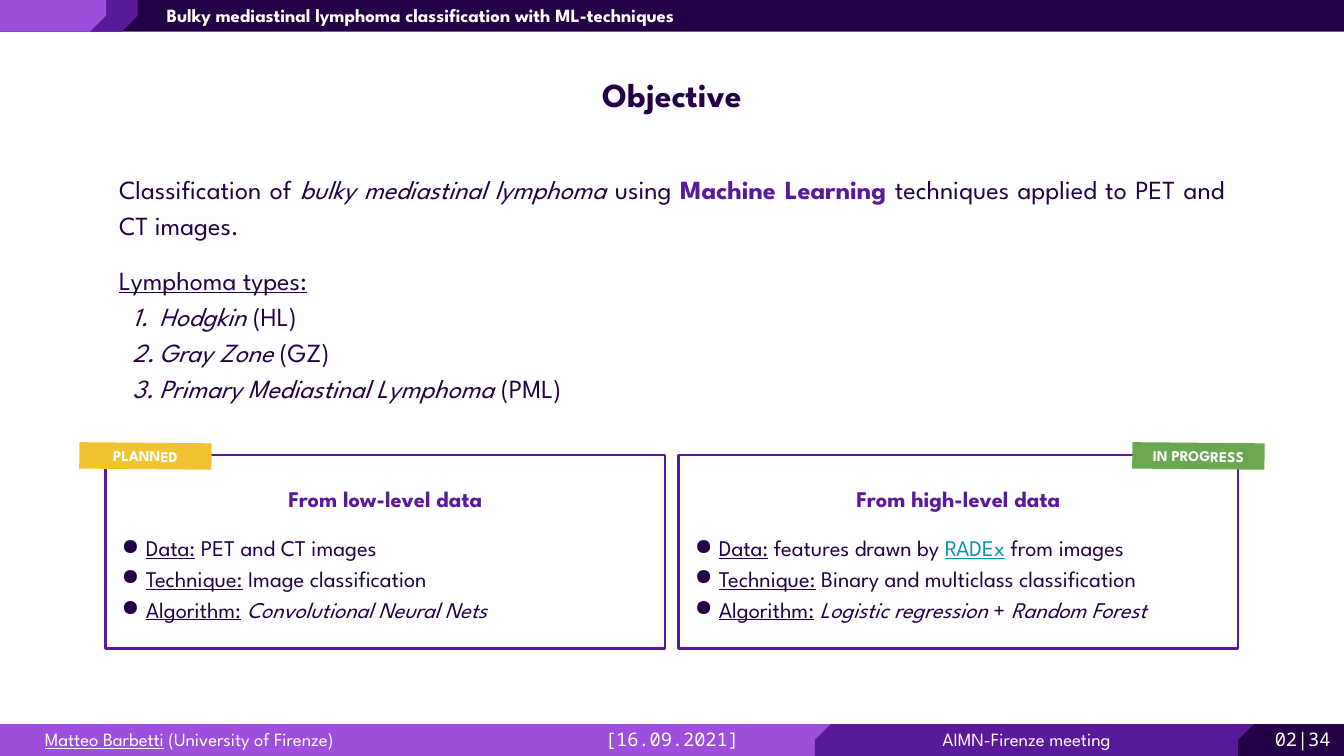
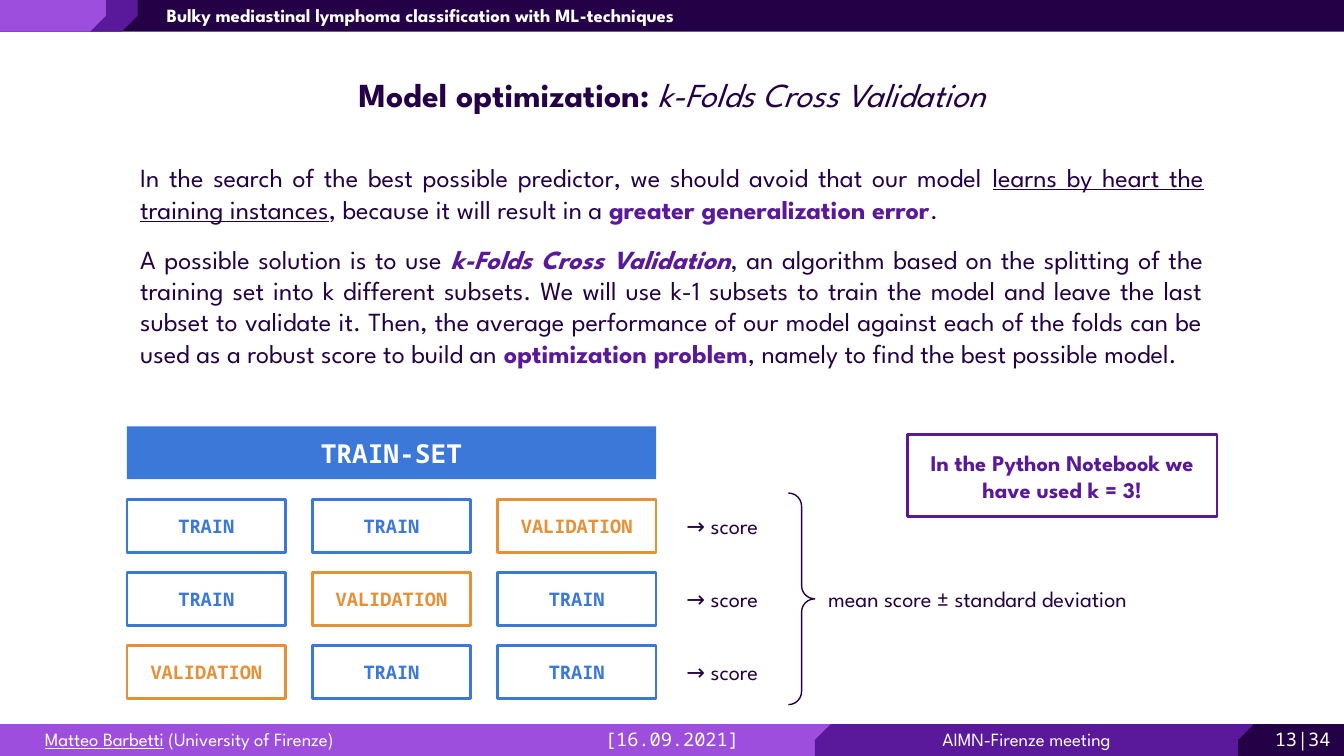
import dataclasses

import lxml.etree
import pptx
import pptx.dml.color
import pptx.enum.shapes
import pptx.enum.text
import pptx.oxml.ns
import pptx.util

SHAPE = pptx.enum.shapes.MSO_SHAPE
ALIGN = pptx.enum.text.PP_ALIGN
ANCHOR = pptx.enum.text.MSO_ANCHOR


@dataclasses.dataclass(frozen=True)
class Theme:
    """Colours, fonts and type sizes of the deck."""

    ink: str = "240046"
    violet: str = "5A189A"
    lilac: str = "9D4EDD"
    white: str = "FFFFFF"
    blue: str = "3C78D8"
    orange: str = "E69138"
    green: str = "6AA84F"
    yellow: str = "F1C232"
    teal: str = "0097A7"
    sans: str = "League Spartan"
    mono: str = "Noto Sans Mono"
    title: int = 18
    body: int = 14
    label: int = 12
    small: int = 10
    tag: int = 8


@dataclasses.dataclass(frozen=True)
class Box:
    """A region measured in columns and rows of a one-centimetre grid."""

    left: float
    top: float
    width: float
    height: float

    def cell(self, column, row, columns, rows):
        """Return a box offset from this box's top left corner."""
        return Box(self.left + column, self.top + row, columns, rows)

    def lengths(self):
        """Return left, top, width and height as slide lengths."""
        return [pptx.util.Cm(value) for value in dataclasses.astuple(self)]


THEME = Theme()
SLIDE = Box(0, 0, 25.4, 14.29)
BAND = 0.6
LINE_SPACING = 1.15
PARA_GAP = 10
NUMBERED = ("buAutoNum", {"type": "arabicPeriod"}, 0.3, 0.2)
BULLETED = ("buChar", {"char": "●"}, 0.2, 0.18)
STRONG = {"bold": True, "color": THEME.violet}
ITALIC = {"italic": True}
UNDERLINED = {"underline": True}


def rgb(color):
    """Turn a hex string into a colour."""
    return pptx.dml.color.RGBColor.from_string(color)


def set_marker(para, marker, color):
    """Give a paragraph a hanging bullet or number."""
    kind, attributes, margin, hanging = marker
    settings = para._p.get_or_add_pPr()
    settings.set("marL", str(pptx.util.Inches(margin)))
    settings.set("indent", str(-pptx.util.Inches(hanging)))
    tint = lxml.etree.SubElement(settings, pptx.oxml.ns.qn("a:buClr"))
    lxml.etree.SubElement(tint, pptx.oxml.ns.qn("a:srgbClr"), val=color)
    lxml.etree.SubElement(settings, pptx.oxml.ns.qn("a:" + kind), attributes)


def write(shape, *spans, size=THEME.body, color=THEME.ink, font=THEME.sans, bold=False,
          align=ALIGN.CENTER, spacing=None, before=None, marker=None):
    """Append a paragraph whose spans are strings or (string, format) pairs."""
    frame = shape.text_frame
    para = frame.paragraphs[0] if not frame.text else frame.add_paragraph()
    para.alignment = align
    if spacing:
        para.line_spacing = spacing
    if before:
        para.space_before = pptx.util.Pt(before)
    if marker:
        set_marker(para, marker, color)
    for span in spans:
        text, extra = (span, {}) if isinstance(span, str) else span
        style = {"color": color, "bold": bold, **extra}
        run = para.add_run()
        run.text = text
        run.font.name = font
        run.font.size = pptx.util.Pt(size)
        run.font.color.rgb = rgb(style["color"])
        run.font.bold = style["bold"]
        run.font.italic = style.get("italic")
        run.font.underline = style.get("underline")


def prepare_frame(shape, anchor):
    """Set wrapping, equal insets and the vertical anchor."""
    frame = shape.text_frame
    frame.word_wrap = True
    frame.auto_size = pptx.enum.text.MSO_AUTO_SIZE.NONE
    frame.vertical_anchor = anchor
    inset = pptx.util.Inches(0.1)
    frame.margin_left = frame.margin_right = inset
    frame.margin_top = frame.margin_bottom = inset


def add_text(page, box, anchor=ANCHOR.MIDDLE):
    """Add an empty text box."""
    shape = page.shapes.add_textbox(*box.lengths())
    prepare_frame(shape, anchor)
    return shape


def add_block(page, box, kind=SHAPE.RECTANGLE, fill=None, line=None, weight=1.5):
    """Add a flat preset shape with an optional fill and outline."""
    shape = page.shapes.add_shape(kind, *box.lengths())
    shape.shadow.inherit = False
    if fill:
        shape.fill.solid()
        shape.fill.fore_color.rgb = rgb(fill)
    else:
        shape.fill.background()
    if line:
        shape.line.color.rgb = rgb(line)
        shape.line.width = pptx.util.Pt(weight)
    else:
        shape.line.fill.background()
    prepare_frame(shape, ANCHOR.MIDDLE)
    return shape


def add_snipped(page, box, fill, rotation=0):
    """Add a mirrored band segment with one snipped corner."""
    shape = add_block(page, box, SHAPE.SNIP_1_RECTANGLE, fill)
    shape.adjustments[0] = 0.5
    shape.rotation = rotation
    shape._element.spPr.get_or_add_xfrm().set("flipH", "1")


def add_band_text(page, band, column, columns, *spans, **style):
    """Write a line of small white text over a band."""
    shape = add_text(page, band.cell(column, -0.18, columns, 0.94), ANCHOR.TOP)
    write(shape, *spans, size=THEME.small, color=THEME.white, **style)


def add_header(page, band):
    """Draw the top band with the talk's name."""
    add_block(page, band, fill=THEME.ink)
    for columns, fill in ((2.6, THEME.violet), (2, THEME.lilac)):
        add_snipped(page, band.cell(0, 0, columns, band.height), fill, 180)
    add_band_text(page, band, 2.9, 12, "Bulky mediastinal lymphoma classification with ML-techniques",
                  bold=True, align=ALIGN.LEFT)


def add_footer(page, band, number):
    """Draw the bottom band with author, date, event and page number."""
    add_block(page, band, fill=THEME.lilac)
    for columns, fill in ((10, THEME.violet), (2, THEME.ink)):
        add_snipped(page, band.cell(band.width - columns, 0, columns, band.height), fill)
    add_band_text(page, band, 0.6, 8, ("Matteo Barbetti", UNDERLINED), " (University of Firenze)",
                  align=ALIGN.LEFT)
    add_band_text(page, band, 11.02, 3.36, "[16.09.2021]", font=THEME.mono)
    add_band_text(page, band, 15.4, 8, "AIMN-Firenze meeting")
    add_band_text(page, band, 23.72, 1.8, f"{number:02}|34", font=THEME.mono)


def add_page(deck, number, *title):
    """Add a title-only slide with its bands and heading."""
    page = deck.slides.add_slide(deck.slide_layouts[5])
    add_header(page, SLIDE.cell(0, 0, SLIDE.width, BAND))
    add_footer(page, SLIDE.cell(0, SLIDE.height - BAND, SLIDE.width, BAND), number)
    heading = page.shapes.title
    heading.left, heading.top, heading.width, heading.height = SLIDE.cell(
        0, 1.14, SLIDE.width, 1.27).lengths()
    prepare_frame(heading, ANCHOR.MIDDLE)
    write(heading, *title, size=THEME.title, bold=True)
    return page


def add_goal(page, box):
    """Write the goal and the numbered lymphoma types."""
    shape = add_text(page, box)
    style = {"align": ALIGN.JUSTIFY, "spacing": LINE_SPACING}
    write(shape, "Classification of ", ("bulky mediastinal lymphoma", ITALIC), " using ",
          ("Machine Learning", STRONG), " techniques applied to PET and CT images.", **style)
    write(shape, ("Lymphoma types:", UNDERLINED), before=PARA_GAP, **style)
    for name, code in (("Hodgkin", "HL"), ("Gray Zone", "GZ"), ("Primary Mediastinal Lymphoma", "PML")):
        write(shape, (name, ITALIC), f" ({code})", marker=NUMBERED, **style)


def add_approach(page, box, heading, items, tag, tag_fill, tag_column):
    """Draw a framed approach with its bullets and status tag."""
    panel = add_block(page, box, line=THEME.violet)
    write(panel, heading, size=THEME.label, spacing=LINE_SPACING, **STRONG)
    for index, (name, *spans) in enumerate(items):
        write(panel, (name + ":", UNDERLINED), " ", *spans, size=THEME.label, align=ALIGN.JUSTIFY,
              spacing=LINE_SPACING, before=None if index else PARA_GAP, marker=BULLETED)
    label = add_block(page, box.cell(tag_column, -0.23, 2.5, 0.5), fill=tag_fill)
    label.rotation = 0.5
    write(label, tag, size=THEME.tag, color=THEME.white, bold=True)


def add_approaches(page, box):
    """Place the two approaches side by side."""
    gap = 0.26
    width = (box.width - gap) / 2
    add_approach(page, box.cell(0, 0, width, box.height), "From low-level data", (
        ("Data", "PET and CT images"),
        ("Technique", "Image classification"),
        ("Algorithm", ("Convolutional Neural Nets", ITALIC)),
    ), "PLANNED", THEME.yellow, -0.5)
    add_approach(page, box.cell(width + gap, 0, width, box.height), "From high-level data", (
        ("Data", "features drawn by ", ("RADEx", {"color": THEME.teal, "underline": True}), " from images"),
        ("Technique", "Binary and multiclass classification"),
        ("Algorithm", ("Logistic regression", ITALIC), " + ", ("Random Forest", ITALIC)),
    ), "IN PROGRESS", THEME.green, width - 2)


def add_explanation(page, box):
    """Write why and how cross validation is used."""
    shape = add_text(page, box, ANCHOR.TOP)
    write(shape, "In the search of the best possible predictor, we should avoid that our model ",
          ("learns by heart the training instances", UNDERLINED), ", because it will result in a ",
          ("greater generalization error", STRONG), ".", align=ALIGN.JUSTIFY)
    write(shape, "A possible solution is to use ", ("k-Folds Cross Validation", {**STRONG, **ITALIC}),
          ", an algorithm based on the splitting of the training set into k different subsets. "
          "We will use k-1 subsets to train the model and leave the last subset to validate it. "
          "Then, the average performance of our model against each of the folds can be used as "
          "a robust score to build an ", ("optimization problem", STRONG),
          ", namely to find the best possible model.", align=ALIGN.JUSTIFY, before=PARA_GAP)


def add_folds(page, box, folds=3):
    """Draw the train set, its folds, their scores and the mean score."""
    column_step, row_step = 3.5, 1.38
    whole = add_block(page, box.cell(0, 0, 10, 1), fill=THEME.blue)
    write(whole, "TRAIN-SET", color=THEME.white, font=THEME.mono, bold=True)
    for row in range(folds):
        top = (row + 1) * row_step
        for column in range(folds):
            held_out = row + column == folds - 1
            name, color = ("VALIDATION", THEME.orange) if held_out else ("TRAIN", THEME.blue)
            fold = add_block(page, box.cell(column * column_step, top, 3, 1), line=color)
            write(fold, name, size=THEME.small, color=color, font=THEME.mono, bold=True)
        write(add_text(page, box.cell(10, top, 2.5, 1)), "→ score", size=THEME.label)
    brace = add_block(page, box.cell(12.5, 1.26, 0.5, 4), SHAPE.RIGHT_BRACE, line=THEME.ink, weight=0.75)
    brace.adjustments[0] = brace.adjustments[1] = 0.5
    write(add_text(page, box.cell(13, 2 * row_step, 7.62, 1)), "mean score ± standard deviation",
          size=THEME.label, align=ALIGN.LEFT)


def add_note(page, box):
    """Draw the framed remark on the number of folds."""
    write(add_block(page, box, line=THEME.violet), "In the Python Notebook we have used k = 3!",
          size=THEME.label, **STRONG)


def build_objective(deck):
    """Build the slide on the objective."""
    page = add_page(deck, 2, "Objective")
    add_goal(page, SLIDE.cell(2, 2.97, 21.4, 4.88))
    add_approaches(page, SLIDE.cell(2, 8.6, 21.4, 3.66))


def build_validation(deck):
    """Build the slide on cross validation."""
    page = add_page(deck, 13, "Model optimization:",
                    (" k-Folds Cross Validation", {"bold": False, "italic": True}))
    add_folds(page, SLIDE.cell(2.4, 8.06, 20.62, 5.3))
    add_explanation(page, SLIDE.cell(2.4, 2.8, 20.6, 5.05))
    add_note(page, SLIDE.cell(17.15, 8.22, 5.85, 1.55))


def main():
    """Build and save the deck."""
    deck = pptx.Presentation()
    _, _, deck.slide_width, deck.slide_height = SLIDE.lengths()
    build_objective(deck)
    build_validation(deck)
    deck.save("out.pptx")


if __name__ == "__main__":
    main()
